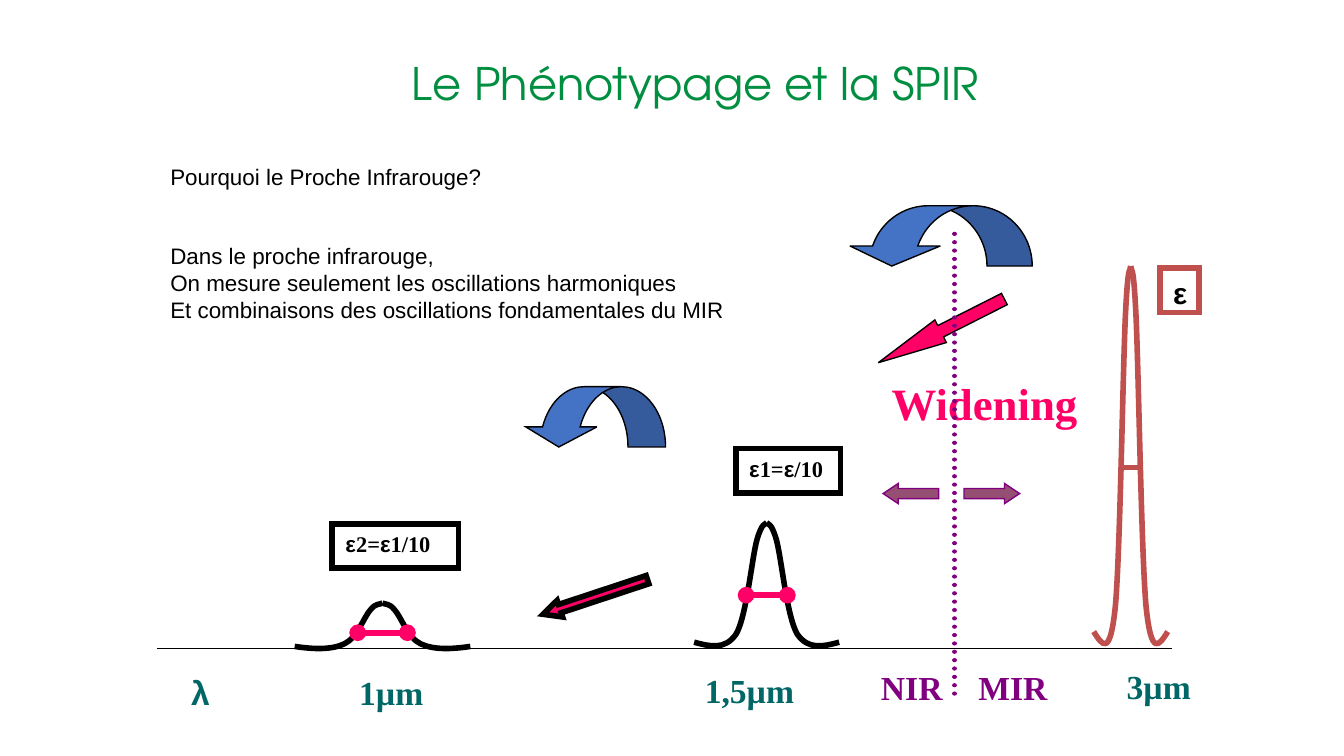
from lxml.etree import SubElement
from pptx import Presentation
from pptx.dml.color import RGBColor
from pptx.enum.dml import MSO_LINE
from pptx.enum.shapes import MSO_CONNECTOR, MSO_SHAPE
from pptx.enum.text import MSO_ANCHOR, MSO_AUTO_SIZE, PP_ALIGN
from pptx.oxml.ns import qn
from pptx.util import Cm, Pt

COLORS = {
    "black": "000000", "green": "008E40", "teal": "006666", "blue": "4472C4",
    "pink": "FF0066", "red": "C0504D", "purple": "800080", "plum": "954F72",
}
SANS, SERIF, DISPLAY = "Arial", "Times New Roman", "TeX Gyre Adventor"
AXIS_Y = 12.26

# Left half of each peak: (distance from the centre, height on the slide), in cm;
# a start point followed by three Bezier segments.
PEAK_1 = [(1.66, 12.22), (1.32, 12.27), (0.97, 12.29), (0.72, 12.17), (0.48, 12.06),
          (0.35, 11.66), (0.23, 11.53), (0.13, 11.4), (0.05, 11.43), (0, 11.4)]
PEAK_1_5 = [(1.37, 12.14), (1.07, 12.22), (0.79, 12.29), (0.58, 11.99), (0.38, 11.66),
            (0.28, 10.54), (0.18, 10.19), (0.08, 9.86), (0.03, 9.93), (0, 9.88)]
PEAK_3 = [(0.7, 11.94), (0.54, 12.19), (0.39, 12.45), (0.29, 11.46), (0.2, 10.46),
          (0.15, 7.04), (0.1, 5.97), (0.05, 4.9), (0.01, 5.18), (0, 5.03)]


def rgb(name):
    return RGBColor.from_string(COLORS[name])


def set_line(s, color, width):
    s.line.color.rgb = rgb(color)
    s.line.width = Pt(width)


def set_sharp_corners(s):
    SubElement(s.line._get_or_add_ln(), qn("a:miter"), lim="800000")


def add_run(p, text, size, font, color, bold=False):
    r = p.add_run()
    r.text = text
    r.font.size = Pt(size)
    r.font.name = font
    r.font.bold = bold
    r.font.color.rgb = rgb(color)


def prepare_frame(tf, wrap):
    tf.word_wrap = wrap
    tf.auto_size = MSO_AUTO_SIZE.NONE
    tf.vertical_anchor = MSO_ANCHOR.TOP
    return tf


def add_title(slide, text):
    sp = slide.shapes.title
    sp.left, sp.top, sp.width, sp.height = Cm(2.47), Cm(0.93), Cm(21.34), Cm(1.27)
    p = prepare_frame(sp.text_frame, True).paragraphs[0]
    p.alignment = PP_ALIGN.CENTER
    add_run(p, text, 24, DISPLAY, "green")


def add_body(slide, question, answer):
    sp = slide.shapes.add_textbox(Cm(2.97), Cm(2.95), Cm(18.16), Cm(7.87))
    tf = prepare_frame(sp.text_frame, True)
    for i, text in enumerate([question, *answer]):
        p = tf.add_paragraph() if i else tf.paragraphs[0]
        if i == 1:
            p.space_before = Pt(28.4)
        add_run(p, text, 12, SANS, "black")


def add_caption(slide, text, box, color, size=18, font=SERIF, center=False, wrap=False):
    sp = slide.shapes.add_textbox(*map(Cm, box))
    p = prepare_frame(sp.text_frame, wrap).paragraphs[0]
    p.alignment = PP_ALIGN.CENTER if center else PP_ALIGN.LEFT
    add_run(p, text, size, font, color, True)


def add_line(slide, start, end, color, width, ovals=False, dotted=False):
    """Straight line; ovals puts a round end on both sides."""
    s = slide.shapes.add_connector(MSO_CONNECTOR.STRAIGHT, *map(Cm, (*start, *end)))
    set_line(s, color, width)
    ln = s.line._get_or_add_ln()
    if dotted:
        s.line.dash_style = MSO_LINE.ROUND_DOT
        ln.set("cap", "rnd")
    if ovals:
        for tag in ("a:headEnd", "a:tailEnd"):
            SubElement(ln, qn(tag), type="oval")
    SubElement(s._element.spPr, qn("a:effectLst"))


def add_arrow(slide, kind, box, fill, line, width, adjust, rotation=0, flip=False):
    s = slide.shapes.add_shape(kind, *map(Cm, box))
    s.shadow.inherit = False
    s.fill.solid()
    s.fill.fore_color.rgb = rgb(fill)
    set_line(s, line, width)
    set_sharp_corners(s)
    for i, value in enumerate(adjust):
        s.adjustments[i] = value
    s.rotation = rotation
    if flip:
        s._element.spPr.find(qn("a:xfrm")).set("flipH", "1")


def bend_segments(s):
    """Turn each three straight segments of a freeform into one cubic curve."""
    outline = next(s._element.iter(qn("a:path")))
    segments = outline.findall(qn("a:lnTo"))
    for i in range(0, len(segments), 3):
        curve = SubElement(outline, qn("a:cubicBezTo"))
        for segment in segments[i:i + 3]:
            curve.append(segment[0])
            outline.remove(segment)


def add_peak(slide, center, half, color):
    """Symmetric absorption peak made of two mirrored halves."""
    for side in (-1, 1):
        points = [(Cm(center + side * dx), Cm(y)) for dx, y in half]
        builder = slide.shapes.build_freeform(*points[0])
        builder.add_line_segments(points[1:], close=False)
        s = builder.convert_to_shape()
        bend_segments(s)
        s.shadow.inherit = False
        s.fill.background()
        set_line(s, color, 3)


def add_label(slide, box, parts, color, size=12):
    """Framed formula; every epsilon is set in the sans font."""
    s = slide.shapes.add_shape(MSO_SHAPE.RECTANGLE, *map(Cm, box))
    s.shadow.inherit = False
    s.fill.background()
    set_line(s, color, 3)
    set_sharp_corners(s)
    p = prepare_frame(s.text_frame, False).paragraphs[0]
    p.alignment = PP_ALIGN.LEFT
    for text in parts:
        add_run(p, text, size, SANS if text == "ε" else SERIF, "black", True)


def main():
    prs = Presentation()
    prs.slide_width, prs.slide_height = Cm(25.4), Cm(14.29)
    slide = prs.slides.add_slide(prs.slide_layouts[5])

    add_body(slide, "Pourquoi le Proche Infrarouge?", [
        "Dans le proche infrarouge,",
        "On mesure seulement les oscillations harmoniques",
        "Et combinaisons des oscillations fondamentales du MIR",
    ])
    add_title(slide, "Le Phénotypage et la SPIR")
    add_line(slide, (2.97, AXIS_Y), (22.15, AXIS_Y), "black", 0.75)
    add_caption(slide, "λ", (2.67, 12.57, 2.24, 1.7), "teal",
                font=SANS, center=True, wrap=True)

    for box, adjust in [((16, 3.89, 3.51, 1.14), (0.75, 1.5, 0.333)),
                        ((9.89, 7.31, 2.69, 1.14), (0.623, 1.198, 0.333))]:
        add_arrow(slide, MSO_SHAPE.CURVED_DOWN_ARROW, box, "blue", "black", 0.75,
                  adjust, flip=True)

    add_peak(slide, 14.49, PEAK_1_5, "black")
    add_label(slide, (13.91, 8.48, 1.98, 0.84), ["ε", "1=", "ε", "/10"], "black")
    add_line(slide, (14.1, 11.25), (14.88, 11.25), "pink", 3, ovals=True)

    add_peak(slide, 21.37, PEAK_3, "red")
    add_label(slide, (21.92, 5.07, 0.74, 0.84), ["ε"], "red", 16)
    add_line(slide, (21.21, 8.84), (21.56, 8.84), "red", 3)

    add_peak(slide, 7.23, PEAK_1, "black")
    add_label(slide, (6.28, 9.9, 2.39, 0.84), ["ε", "2=", "ε", "1/10"], "black")
    add_line(slide, (6.76, 11.96), (7.7, 11.96), "pink", 3, ovals=True)

    add_arrow(slide, MSO_SHAPE.LEFT_ARROW, (10.21, 11.12, 2.08, 0.33),
              "pink", "black", 3, (0.5, 1.02), rotation=341.7)
    add_arrow(slide, MSO_SHAPE.DOWN_ARROW, (17.55, 4.92, 0.48, 2.67),
              "pink", "black", 0.75, (0.5, 2.75), rotation=63.2)
    add_caption(slide, "Widening", (16.6, 6.97, 2.24, 0.84), "pink", 24)

    add_line(slide, (18.04, 4.42), (18.04, 13.13), "purple", 2.25, dotted=True)
    for kind, arrow_x, text, text_x, width in [
            (MSO_SHAPE.LEFT_ARROW, 16.69, "NIR", 16.4, 0.91),
            (MSO_SHAPE.RIGHT_ARROW, 18.22, "MIR", 18.24, 0.99)]:
        add_arrow(slide, kind, (arrow_x, 9.14, 1.05, 0.38), "plum", "purple", 0.75,
                  (0.5, 0.75))
        add_caption(slide, text, (text_x, 12.48, width, 0.69), "purple")

    for text, box, wrap in [("3µm", (20.95, 12.46, 1.9, 1.32), False),
                            ("1µm", (6.34, 12.58, 2.11, 1.7), True),
                            ("1,5µm", (13.3, 12.54, 1.73, 1.7), False)]:
        add_caption(slide, text, box, "teal", center=True, wrap=wrap)

    prs.save("out.pptx")


if __name__ == "__main__":
    main()
